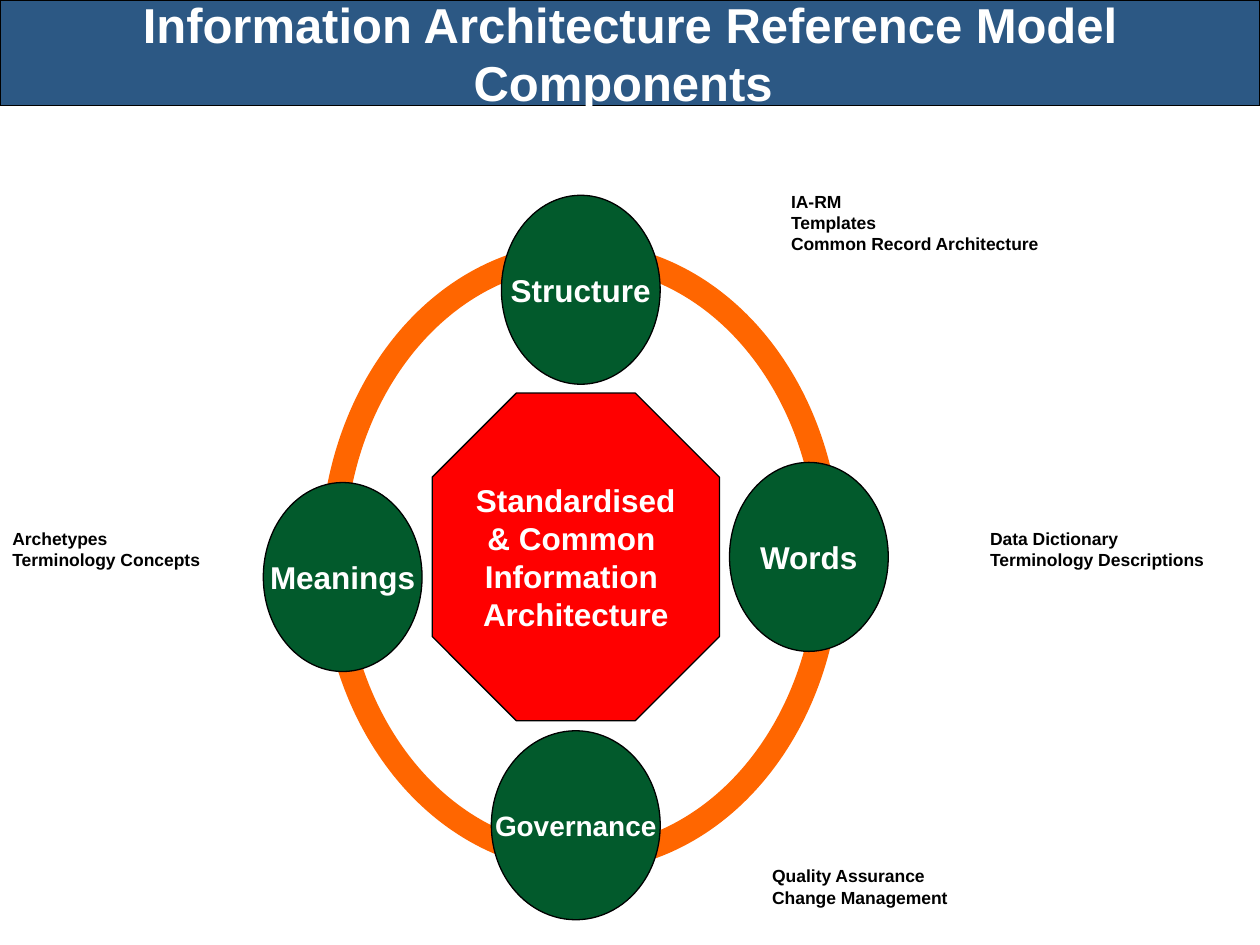
from dataclasses import dataclass

from pptx import Presentation
from pptx.dml.color import RGBColor
from pptx.enum.shapes import MSO_SHAPE
from pptx.enum.text import MSO_ANCHOR, MSO_AUTO_SIZE, PP_ALIGN
from pptx.util import Inches, Pt

OVAL = MSO_SHAPE.OVAL
OCTAGON = MSO_SHAPE.OCTAGON
RECTANGLE = MSO_SHAPE.RECTANGLE
TOP = MSO_ANCHOR.TOP
MIDDLE = MSO_ANCHOR.MIDDLE
LEFT = PP_ALIGN.LEFT
CENTER = PP_ALIGN.CENTER
FIT_SHAPE = MSO_AUTO_SIZE.SHAPE_TO_FIT_TEXT


@dataclass(frozen=True)
class Theme:
    font: str = "Arial"
    banner: str = "2C5884"
    ring: str = "FF6600"
    core: str = "FF0000"
    component: str = "025A2C"
    ink: str = "000000"
    light: str = "FFFFFF"
    title_size: int = 28
    label_size: int = 18
    small_label_size: int = 16
    note_size: int = 10
    outline: float = 0.75
    ring_width: int = 14


THEME = Theme()

BANNER = (0, 0, 10, 0.84)
COMPONENTS = [
    ("Structure", (3.98, 1.55, 1.26, 1.5), THEME.label_size),
    ("Meanings", (2.09, 3.83, 1.26, 1.5), THEME.label_size),
    ("Words", (5.79, 3.67, 1.26, 1.5), THEME.label_size),
    ("Governance", (3.9, 5.8, 1.34, 1.5), THEME.small_label_size),
]
NOTES = [
    (["IA-RM", "Templates", "Common Record Architecture"], (6.18, 1.47, 2.17, 0.6)),
    (["Archetypes", "Terminology Concepts"], (0, 4.14, 1.73, 0.44)),
    (["Data Dictionary", "Terminology Descriptions"], (7.76, 4.14, 1.9, 0.44)),
    (["Quality Assurance", "Change Management"], (6.03, 6.82, 1.59, 0.44)),
]
CORE_LINES = [" Standardised ", "& Common ", "Information ", "Architecture"]


def place(box):
    return [Inches(length) for length in box]


def write_lines(holder, lines, size, color, align=CENTER, anchor=MIDDLE, wrap=False):
    frame = holder.text_frame
    frame.word_wrap = wrap
    frame.vertical_anchor = anchor
    font_format = {"name": THEME.font, "size": Pt(size), "bold": True}
    for index, line in enumerate(lines):
        paragraph = frame.paragraphs[0] if index == 0 else frame.add_paragraph()
        paragraph.alignment = align
        run = paragraph.add_run()
        run.text = line
        for attribute, value in font_format.items():
            setattr(run.font, attribute, value)
        run.font.color.rgb = RGBColor.from_string(color)


def add_figure(slide, kind, box, fill=None, line=THEME.ink, width=THEME.outline):
    figure = slide.shapes.add_shape(kind, *place(box))
    figure.shadow.inherit = False
    if fill:
        figure.fill.solid()
        figure.fill.fore_color.rgb = RGBColor.from_string(fill)
    else:
        figure.fill.background()
    figure.line.color.rgb = RGBColor.from_string(line)
    figure.line.width = Pt(width)
    return figure


def add_core(slide):
    core = add_figure(slide, OCTAGON, (3.43, 3.12, 2.28, 2.6), THEME.core)
    core.adjustments[0] = 0.293
    write_lines(core, CORE_LINES, THEME.label_size, THEME.light)


def add_component(slide, label, box, size):
    component = add_figure(slide, OVAL, box, THEME.component)
    write_lines(component, [label], size, THEME.light)


def add_note(slide, lines, box):
    note = slide.shapes.add_textbox(*place(box))
    write_lines(note, lines, THEME.note_size, THEME.ink, LEFT, TOP)
    note.text_frame.auto_size = FIT_SHAPE


def add_title(slide):
    add_figure(slide, RECTANGLE, BANNER, THEME.banner)
    title = slide.shapes.add_textbox(*place(BANNER))
    heading = "Information Architecture Reference Model Components "
    write_lines(title, [heading], THEME.title_size, THEME.light, wrap=True)


def main():
    deck = Presentation()
    deck.slide_width = Inches(10)
    deck.slide_height = Inches(7.5)
    slide = deck.slides.add_slide(deck.slide_layouts[6])

    add_figure(slide, OVAL, (2.64, 2.02, 3.94, 4.8), line=THEME.ring, width=THEME.ring_width)
    add_core(slide)
    for label, box, size in COMPONENTS:
        add_component(slide, label, box, size)
    for lines, box in NOTES:
        add_note(slide, lines, box)
    add_title(slide)

    deck.save("out.pptx")


if __name__ == "__main__":
    main()
